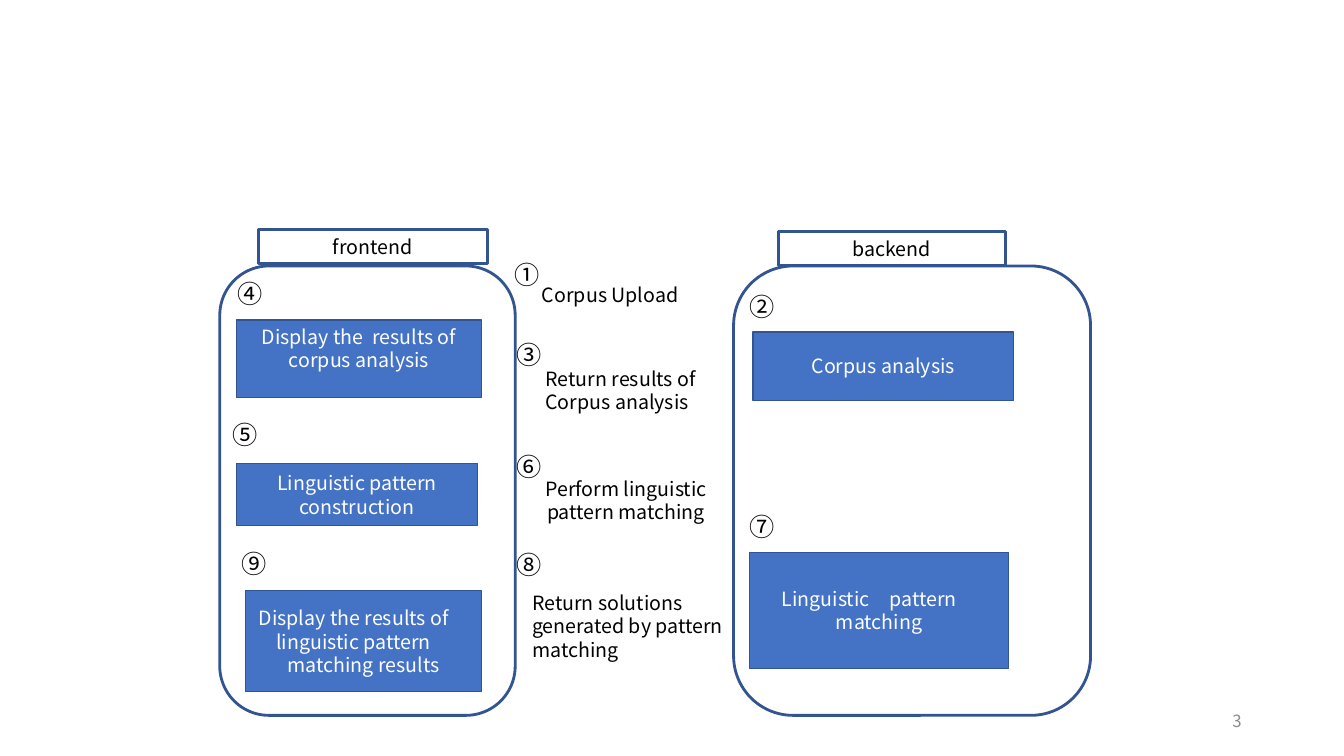
from dataclasses import dataclass

import lxml.etree
import pptx
import pptx.dml.color
import pptx.enum.shapes
import pptx.enum.text
import pptx.oxml.ns
import pptx.util

Pt = pptx.util.Pt
Shape = pptx.enum.shapes.MSO_SHAPE
Align = pptx.enum.text.PP_ALIGN
Anchor = pptx.enum.text.MSO_ANCHOR


@dataclass(frozen=True)
class Theme:
    font: str = "Noto Sans CJK JP"
    edge: str = "325491"
    fill: str = "4472C4"
    dark: str = "000000"
    light: str = "FFFFFF"
    grey: str = "8C8C8C"
    body: int = 14
    mark: int = 18
    foot: int = 12
    lead: float = 1.2


THEME = Theme()

PANELS = [
    ("frontend", (157, 190, 211, 321), (184.5, 164, 163.5, 24.5)),
    ("backend", (524, 190, 255, 321), (556, 165.5, 162, 24.5)),
]
STEPS = [
    ("Display the  results of corpus analysis", (169, 228.5, 175, 55.5), Anchor.TOP),
    ("Linguistic pattern construction", (169, 331, 172, 44.5), Anchor.MIDDLE),
    ("Display the results of　linguistic pattern　matching results",
     (175.5, 422, 168.5, 72), Anchor.MIDDLE),
    ("Corpus analysis", (538, 237, 186, 49), Anchor.MIDDLE),
    ("Linguistic　pattern　matching", (535.5, 394.5, 185, 83), Anchor.MIDDLE),
]
FLOWS = [
    ("Corpus Upload", (380, 198.5, 165.5, 24.5), Align.LEFT),
    ("Return results of Corpus analysis", (382.5, 258.5, 139, 58.5), Align.LEFT),
    ("Perform linguistic pattern matching", (377.5, 337, 139.5, 43), Align.CENTER),
    ("Return solutions generated by pattern matching",
     (373, 418.5, 155.5, 58.5), Align.LEFT),
]
MARKS = {
    "①": (360.5, 181.5), "②": (528, 204.5), "③": (362, 238.5),
    "④": (162.5, 195), "⑤": (159, 296), "⑥": (362, 319),
    "⑦": (528.5, 361.5), "⑧": (362, 389), "⑨": (165.5, 388),
}


def tint(code):
    return pptx.dml.color.RGBColor.from_string(code)


def write(shape, text, size=THEME.body, color=THEME.dark,
          align=Align.LEFT, anchor=Anchor.TOP):
    frame = shape.text_frame
    frame.word_wrap = True
    frame.vertical_anchor = anchor
    para = frame.paragraphs[0]
    para.alignment = align
    para.line_spacing = Pt(size * THEME.lead)
    run = para.add_run()
    run.text = text
    run.font.size = Pt(size)
    run.font.name = THEME.font
    run.font.color.rgb = tint(color)
    east = lxml.etree.SubElement(run.font._element, pptx.oxml.ns.qn("a:ea"))
    east.set("typeface", THEME.font)


def label(slide, text, area, **style):
    box = slide.shapes.add_textbox(*map(Pt, area))
    write(box, text, **style)


def block(slide, area, kind=Shape.RECTANGLE, fill=None, width=2):
    shape = slide.shapes.add_shape(kind, *map(Pt, area))
    shape.shadow.inherit = False
    if fill:
        shape.fill.solid()
        shape.fill.fore_color.rgb = tint(fill)
    else:
        shape.fill.background()
    shape.line.color.rgb = tint(THEME.edge)
    shape.line.width = Pt(width)
    return shape


def main():
    deck = pptx.Presentation()
    deck.slide_width, deck.slide_height = Pt(960), Pt(540)
    slide = deck.slides.add_slide(deck.slide_layouts[6])

    for name, area, head in PANELS:
        block(slide, area, kind=Shape.ROUNDED_RECTANGLE)
        write(block(slide, head), name, align=Align.CENTER, anchor=Anchor.MIDDLE)
    for text, area, anchor in STEPS:
        step = block(slide, area, fill=THEME.fill, width=1)
        write(step, text, color=THEME.light, align=Align.CENTER, anchor=anchor)
    for text, area, align in FLOWS:
        label(slide, text, area, align=align)
    for sign, place in MARKS.items():
        label(slide, sign, (*place, 73.5, 32.5), size=THEME.mark)
    label(slide, "3", (678, 500.5, 216, 29), size=THEME.foot,
          color=THEME.grey, align=Align.RIGHT, anchor=Anchor.MIDDLE)

    deck.save("out.pptx")


if __name__ == "__main__":
    main()
